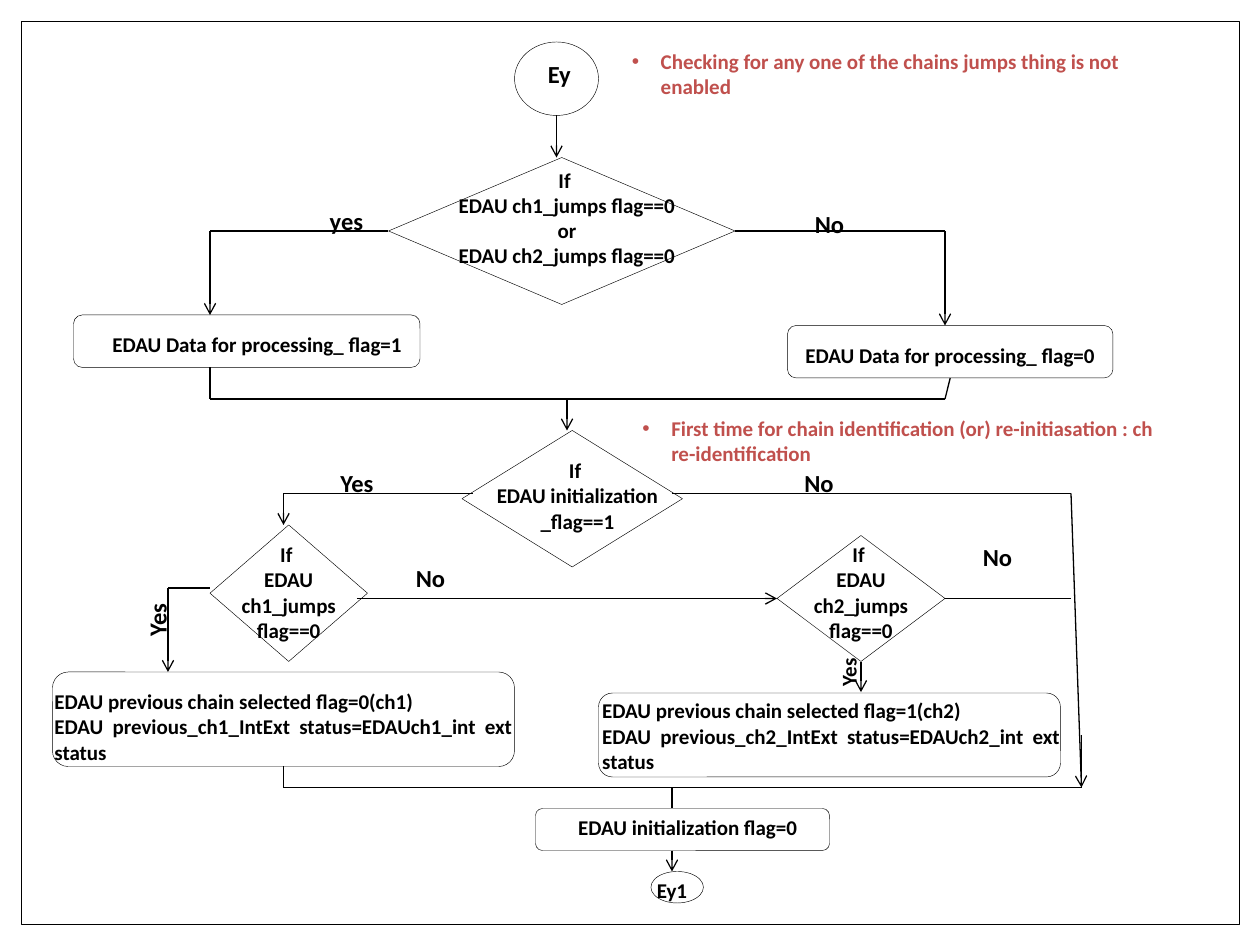
from dataclasses import dataclass

from lxml.etree import SubElement
from pptx import Presentation
from pptx.dml.color import RGBColor
from pptx.enum.shapes import MSO_CONNECTOR as Wire, MSO_SHAPE as Kind
from pptx.enum.text import PP_ALIGN as Align
from pptx.oxml.ns import qn
from pptx.slide import Slide
from pptx.util import Pt

TOP, LEFT, BOTTOM, RIGHT = range(4)


def color(code):
    return RGBColor.from_string(code)


@dataclass
class Chart:
    slide: Slide
    face: str = "Calibri"
    ink: str = "000000"
    accent: str = "C0504D"
    edge: float = 0.25
    wire: float = 0.75
    hang: float = 16.5

    def shape(self, kind, *box):
        item = self.slide.shapes.add_shape(kind, *map(Pt, box))
        item.shadow.inherit = False
        item.fill.background()
        item.line.color.rgb = color(self.ink)
        item.line.width = Pt(self.edge)
        return item

    def text(self, words, *box, size=12, align=Align.CENTER, tint=None, turn=0):
        """Add a text box with one paragraph for each line of words."""
        item = self.slide.shapes.add_textbox(*map(Pt, box))
        item.rotation = turn
        frame = item.text_frame
        frame.word_wrap = True
        frame.text = words
        style = {"name": self.face, "size": Pt(size), "bold": True}
        for para in frame.paragraphs:
            para.alignment = align
            for run in para.runs:
                for key, value in style.items():
                    setattr(run.font, key, value)
                run.font.color.rgb = color(tint or self.ink)
        return item

    def bullet(self, words, *box):
        item = self.text(words, *box, align=Align.LEFT, tint=self.accent)
        props = item.text_frame.paragraphs[0]._p.get_or_add_pPr()
        props.set("marL", str(Pt(self.hang)))
        props.set("indent", str(-Pt(self.hang)))
        SubElement(props, qn("a:buFont"), typeface="Arial")
        SubElement(props, qn("a:buChar"), char="•")

    def line(self, *ends, arrow=False, start=None, stop=None):
        """Join two points; start and stop are (shape, side) pairs."""
        item = self.slide.shapes.add_connector(Wire.STRAIGHT, *map(Pt, ends))
        item.line.color.rgb = color(self.ink)
        item.line.width = Pt(self.wire)
        if arrow:
            SubElement(item.line._get_or_add_ln(), qn("a:tailEnd"), type="arrow")
        SubElement(item._element.spPr, qn("a:effectLst"))
        if start:
            item.begin_connect(*start)
        if stop:
            item.end_connect(*stop)


def main():
    deck = Presentation()
    deck.slide_width, deck.slide_height = Pt(720), Pt(540)
    flow = Chart(deck.slides.add_slide(deck.slide_layouts[6]))

    # Frame and terminals
    flow.shape(Kind.RECTANGLE, 12, 12, 696, 516)
    flow.shape(Kind.OVAL, 294, 24, 48, 42)
    flow.text("Ey", 306, 30, 36, 24.5, size=14, align=Align.LEFT)
    flow.shape(Kind.OVAL, 372, 498, 30, 18)
    flow.text("Ey1", 366, 498, 36, 21.6)

    # Decisions
    jumps = flow.shape(Kind.FLOWCHART_DECISION, 222, 90, 198, 84)
    flow.text("If \nEDAU ch1_jumps flag==0\nor\nEDAU ch2_jumps flag==0",
              249, 92, 150, 65)
    flow.shape(Kind.FLOWCHART_DECISION, 264, 246, 126, 78)
    flow.text("If \nEDAU initialization\n_flag==1", 276, 258, 108, 50.4)
    flow.shape(Kind.FLOWCHART_DECISION, 120, 300, 90, 78)
    flow.text("If \nEDAU ch1_jumps flag==0", 126, 306, 78, 65)
    second = flow.shape(Kind.FLOWCHART_DECISION, 444, 306, 96, 72)
    flow.text("If \nEDAU ch2_jumps flag==0", 450, 306, 84, 65)

    # Steps
    flow.shape(Kind.ROUNDED_RECTANGLE, 42, 180, 198, 30)
    flow.text("EDAU Data for processing_ flag=1", 54, 186, 186, 21.6)
    clear = flow.shape(Kind.ROUNDED_RECTANGLE, 450, 186, 186, 30)
    flow.text("EDAU Data for processing_ flag=0", 450, 192, 186, 21.6)
    flow.shape(Kind.ROUNDED_RECTANGLE, 306, 462, 168, 24)
    flow.text("EDAU initialization flag=0", 312, 462, 162, 21.6)
    chains = (
        (0, 1, (30, 384, 264, 54), (24, 390)),
        (1, 2, (342, 396, 264, 48), (337, 395.3)),
    )
    for flag, chain, box, spot in chains:
        flow.shape(Kind.ROUNDED_RECTANGLE, *box)
        flow.text(f"EDAU previous chain selected flag={flag}(ch{chain})\n"
                  f"EDAU previous_ch{chain}_IntExt status=EDAUch{chain}_int ext status",
                  *spot, 276, 50.4, align=Align.JUSTIFY)

    # First check
    flow.line(318, 66, 318, 90, arrow=True)
    flow.line(222, 132, 120, 132, start=(jumps, LEFT))
    flow.line(120, 132, 120, 180, arrow=True)
    flow.line(420, 132, 540, 132, start=(jumps, RIGHT))
    flow.line(540, 132, 540, 186, arrow=True)
    flow.line(120, 210, 120, 228)
    flow.line(543, 216, 540, 228, start=(clear, BOTTOM))
    flow.line(120, 228, 540, 228)
    flow.line(324, 228, 324, 246, arrow=True)

    # Chain checks
    flow.line(270, 282, 162, 282)
    flow.line(162, 282, 162, 300, arrow=True)
    flow.line(384, 282, 612, 282)
    flow.line(612, 282, 618, 450, arrow=True)
    flow.line(120, 336, 96, 336)
    flow.line(96, 336, 96, 384, arrow=True)
    flow.line(204, 342, 444, 342, arrow=True, stop=(second, LEFT))
    flow.line(540, 342, 612, 342, start=(second, RIGHT))
    flow.line(492, 378, 492, 395.5, arrow=True, start=(second, BOTTOM))

    # Final merge
    flow.line(162, 438, 162, 450)
    flow.line(618, 420, 618, 450)
    flow.line(162, 450, 618, 450)
    flow.line(384, 450, 384, 462)
    flow.line(384, 486, 384, 498, arrow=True)

    # Branch labels
    labels = (
        ("yes", 180, 114, 0), ("No", 456, 116, 0), ("Yes", 186, 264, 0),
        ("No", 450, 264, 0), ("Yes", 72, 342, 270), ("No", 552, 306, 0),
        ("No", 228, 318, 0),
    )
    for word, left, top, turn in labels:
        flow.text(word, left, top, 36, 24.5, size=14, turn=turn)
    flow.text("Yes", 467.5, 373.5, 34.5, 21.6, turn=270)

    # Remarks
    flow.bullet("Checking for any one of the chains jumps thing is not enabled",
                354, 24, 324, 36)
    flow.bullet("First time for chain identification (or) re-initiasation : ch "
                "re-identification", 360, 234, 312, 36)
    deck.save("out.pptx")


if __name__ == "__main__":
    main()
